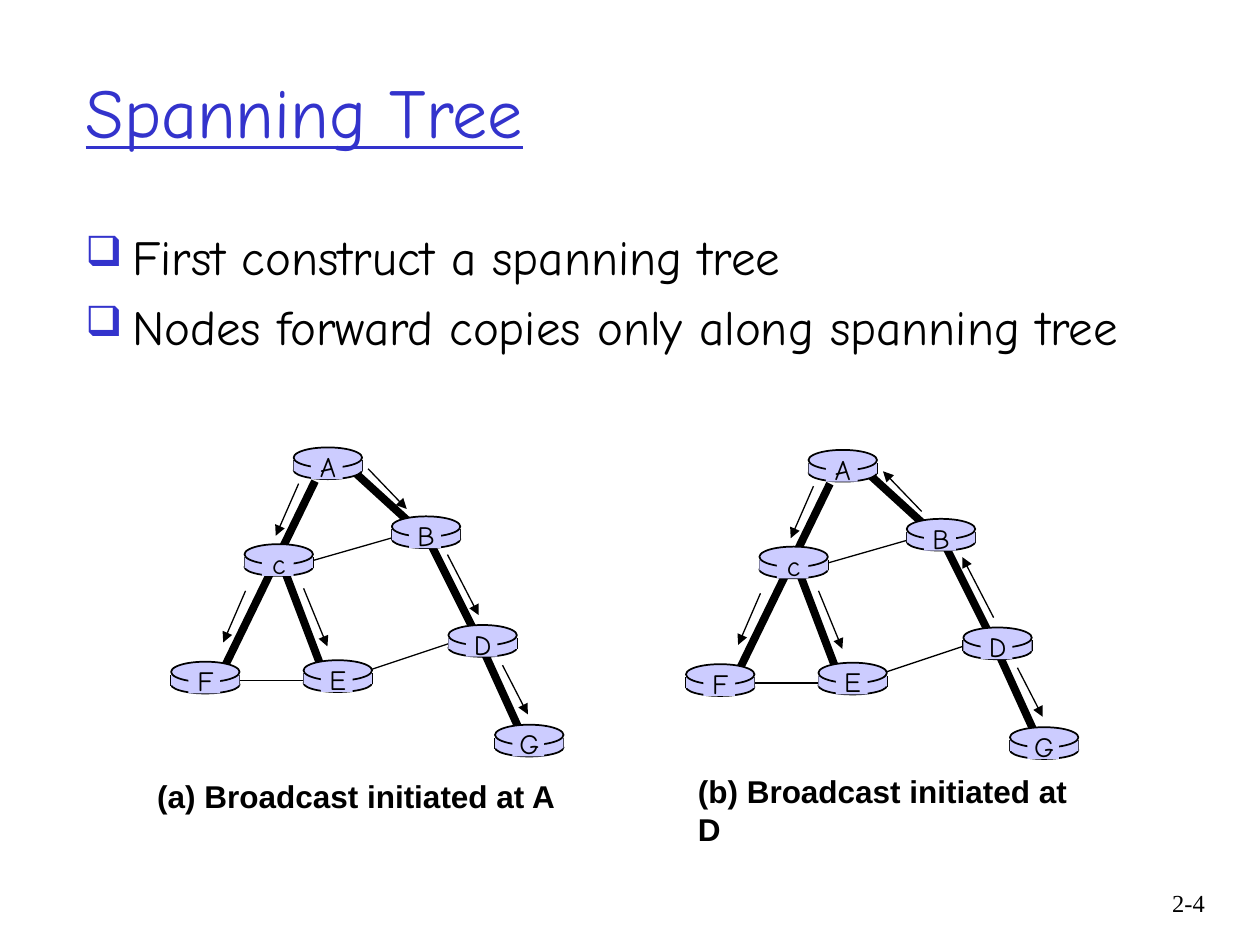
"""Build the Spanning Tree slide with two broadcast diagrams."""
from typing import NamedTuple

from lxml.etree import SubElement
from pptx import Presentation
from pptx.dml.color import RGBColor
from pptx.enum.shapes import MSO_CONNECTOR, MSO_SHAPE
from pptx.enum.text import MSO_ANCHOR, PP_ALIGN
from pptx.oxml.ns import qn
from pptx.util import Cm, Pt

COLORS = {"ink": "000000", "accent": "3333CC", "node": "CCCCFF"}
HAND = "Comic Neue"
NODE_W = 1.38


class Node(NamedTuple):
    name: str
    x: float
    y: float


class Line(NamedTuple):
    x1: float
    y1: float
    x2: float
    y2: float
    width: float = 0.75

    def flipped(self) -> "Line":
        return Line(self.x2, self.y2, self.x1, self.y1, self.width)


class Tree(NamedTuple):
    dx: float
    dy: float
    arrows: list
    caption: str
    caption_x: float
    caption_y: float


NODES = [
    Node("A", 5.92, 9.02), Node("B", 7.9, 10.41), Node("G", 9.98, 14.61),
    Node("D", 9.04, 12.6), Node("E", 6.12, 13.31), Node("c", 4.93, 10.97),
    Node("F", 3.45, 13.34),
]
EDGES = [
    Line(7.16, 9.53, 8.41, 10.67, 4.5),
    Line(8.61, 10.82, 9.55, 12.7, 4.5),
    Line(9.58, 12.75, 10.54, 14.86, 4.5),
    Line(6.48, 13.46, 5.72, 11.46, 4.5),
    Line(6.35, 9.7, 4.47, 13.56, 4.5),
    Line(9.12, 12.95, 7.44, 13.51),
    Line(6.55, 13.72, 4.5, 13.72),
    Line(6.2, 11.33, 8.05, 10.8),
]
A_TO_B = Line(7.42, 9.45, 8.2, 10.26)
B_TO_D = Line(9.02, 11.18, 9.65, 12.4)
SHARED_ARROWS = [
    Line(6.02, 9.75, 5.56, 10.8),
    Line(4.95, 11.91, 4.5, 12.95),
    Line(10.13, 13.41, 10.64, 14.4),
    Line(6.12, 11.86, 6.6, 13.03),
]
TREES = [
    Tree(0, 0, [*SHARED_ARROWS, A_TO_B, B_TO_D],
         "(a) Broadcast initiated at A", 2.92, 15.54),
    Tree(10.38, 0.05, [*SHARED_ARROWS, A_TO_B.flipped(), B_TO_D.flipped()],
         "(b) Broadcast initiated at D", 13.82, 15.44),
]


def rgb(name: str) -> RGBColor:
    return RGBColor.from_string(COLORS[name])


def write(p, text: str, size=16, font=HAND, color="ink", bold=False,
          underline=False, align=PP_ALIGN.LEFT) -> None:
    p.alignment = align
    r = p.add_run()
    r.text = text
    r.font.size = Pt(size)
    r.font.name = font
    r.font.bold = bold
    r.font.underline = underline
    r.font.color.rgb = rgb(color)


def add_text(shapes, x: float, y: float, w: float, h: float, text: str,
             wrap=False, **fmt) -> None:
    tf = shapes.add_textbox(Cm(x), Cm(y), Cm(w), Cm(h)).text_frame
    tf.word_wrap = wrap
    write(tf.paragraphs[0], text, **fmt)


def add_line(shapes, line: Line, dx=0.0, dy=0.0, arrow=False) -> None:
    cx = shapes.add_connector(
        MSO_CONNECTOR.STRAIGHT, Cm(line.x1 + dx), Cm(line.y1 + dy),
        Cm(line.x2 + dx), Cm(line.y2 + dy))
    cx.line.width = Pt(line.width)
    cx.line.color.rgb = rgb("ink")
    if arrow:
        SubElement(cx.line._get_or_add_ln(), qn("a:tailEnd"), type="triangle")
    SubElement(cx._element.spPr, qn("a:effectLst"))


def add_part(shapes, kind, x: float, y: float, w: float, h: float,
             outlined=False) -> None:
    sp = shapes.add_shape(kind, Cm(x), Cm(y), Cm(w), Cm(h))
    sp.shadow.inherit = False
    sp.fill.solid()
    sp.fill.fore_color.rgb = rgb("node")
    if outlined:
        sp.line.color.rgb = rgb("ink")
        sp.line.width = Pt(1)
    else:
        sp.line.fill.background()


def add_node(shapes, node: Node, dx: float, dy: float) -> None:
    x, y = node.x + dx, node.y + dy
    add_part(shapes, MSO_SHAPE.OVAL, x, y + 0.28, NODE_W, 0.36, outlined=True)
    for side in (x, x + NODE_W):
        add_line(shapes, Line(side, y + 0.26, side, y + 0.48, 1))
    add_part(shapes, MSO_SHAPE.RECTANGLE, x, y + 0.26, NODE_W, 0.22)
    add_part(shapes, MSO_SHAPE.OVAL, x, y, NODE_W, 0.41, outlined=True)
    add_part(shapes, MSO_SHAPE.RECTANGLE, x + 0.35, y + 0.06, 0.64, 0.58)
    add_text(shapes, x, y - 0.08, NODE_W, 0.94, node.name,
             align=PP_ALIGN.CENTER)


def add_tree(slide, tree: Tree) -> None:
    shapes = slide.shapes.add_group_shape().shapes
    for edge in EDGES:
        add_line(shapes, edge, tree.dx, tree.dy)
    for node in NODES:
        add_node(shapes, node, tree.dx, tree.dy)
    for arrow in tree.arrows:
        add_line(shapes, arrow, tree.dx, tree.dy, arrow=True)
    add_text(shapes, tree.caption_x, tree.caption_y, 8.57, 1.02, tree.caption,
             size=18, font="Arial", bold=True)


def add_bullets(slide, items: list) -> None:
    tf = slide.shapes.add_textbox(
        Cm(1.47), Cm(4.45), Cm(21.59), Cm(5.16)).text_frame
    tf.word_wrap = True
    for i, item in enumerate(items):
        p = tf.add_paragraph() if i else tf.paragraphs[0]
        pPr = p._p.get_or_add_pPr()
        pPr.set("marL", str(Cm(0.95)))
        pPr.set("indent", str(-Cm(0.95)))
        clr = SubElement(pPr, qn("a:buClr"))
        SubElement(clr, qn("a:srgbClr"), val=COLORS["accent"])
        SubElement(pPr, qn("a:buSzPct"), val="85000")
        SubElement(pPr, qn("a:buChar"), char="❑")
        if i:
            p.space_before = Pt(6.4)
        write(p, item, size=28)


def main() -> None:
    prs = Presentation()
    prs.slide_width, prs.slide_height = Cm(25.4), Cm(19.05)
    s = prs.slides.add_slide(prs.slide_layouts[5])
    title = s.shapes.title
    title.left, title.top = Cm(1.47), Cm(0.64)
    title.width, title.height = Cm(21.59), Cm(3.18)
    title.text_frame.vertical_anchor = MSO_ANCHOR.MIDDLE
    write(title.text_frame.paragraphs[0], "Spanning Tree", size=40,
          color="accent", underline=True)
    add_bullets(s, ["First construct a spanning tree",
                    "Nodes forward copies only along spanning tree"])
    for tree in TREES:
        add_tree(s, tree)
    add_text(s.shapes, 22.66, 17.78, 1.88, 1.27, "2-4", wrap=True, size=14,
             font="Times New Roman", align=PP_ALIGN.RIGHT)
    prs.save("out.pptx")


if __name__ == "__main__":
    main()
